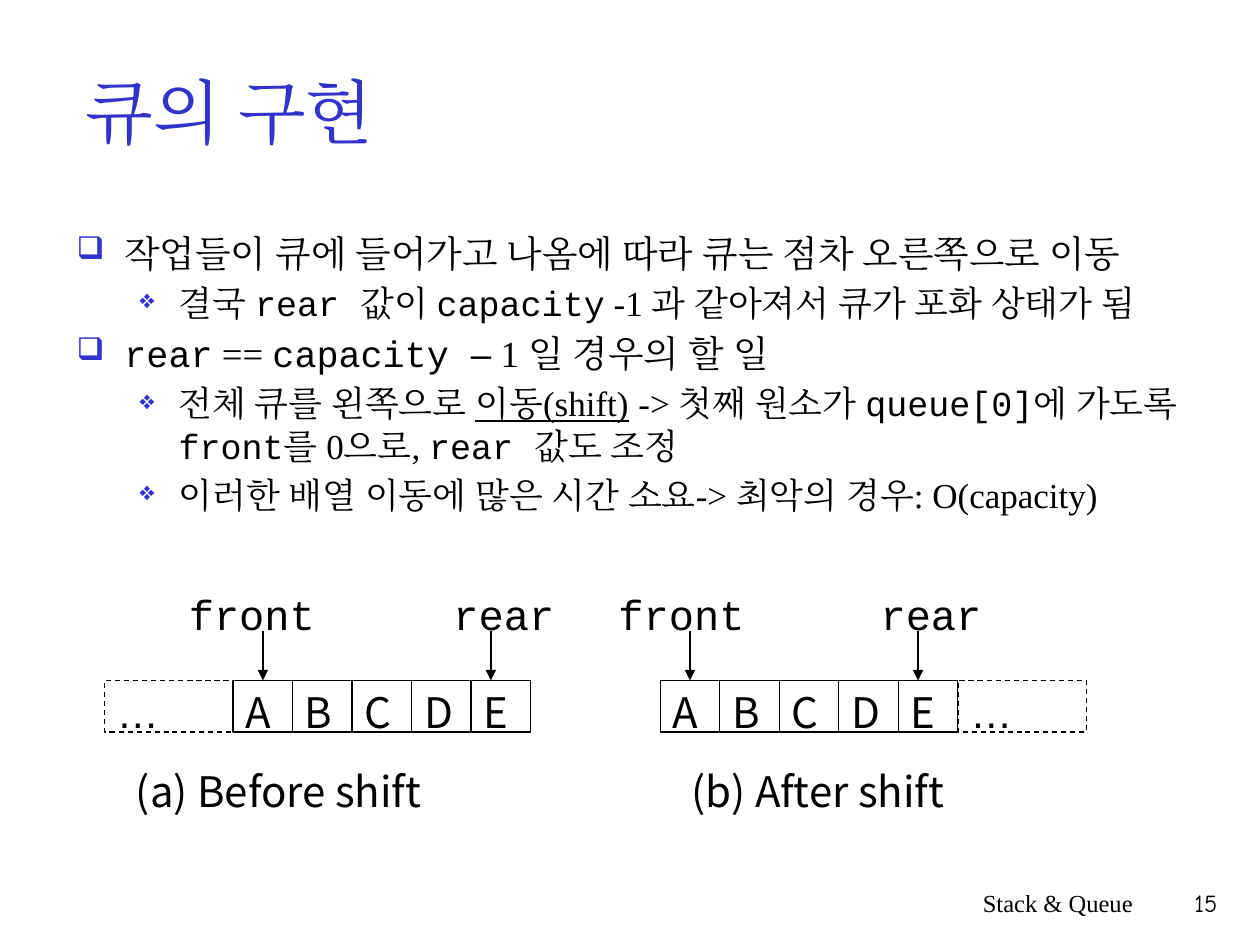
from lxml import etree
from pptx import Presentation
from pptx import util as u
from pptx.dml.color import RGBColor
from pptx.enum import dml, shapes, text
from pptx.oxml import ns

BLACK, BLUE = "000000", "3333CC"
SERIF, MONO, SANS, KOREAN = "Times New Roman", "Courier New", "Arial", "Noto Sans CJK KR"
CELL_W, CELL_H, GAP_W = 1.89 / 4, 0.41, 1.02
LABEL_Y, ARROW_Y, ROW_Y, CAPTION_Y, FOOTER_Y = 4.62, 5.01, 5.4, 6.03, 7
REAR_SHIFT = 1.81
LEVELS = [
    dict(size=21, char="❑", scale=85, margin=0.38, hang=0.38),
    dict(size=20, char="❖", scale=75, margin=0.81, hang=0.31),
]
BULLETS = [
    (0, [("작업들이 큐에 들어가고 나옴에 따라 큐는 점차 오른쪽으로 이동", SERIF)]),
    (1, [("결국 ", SERIF), ("rear ", MONO), ("값이 ", SERIF), ("capacity", MONO),
         (" -1 과 같아져서 큐가 포화 상태가 됨", SERIF)]),
    (0, [("rear", MONO), (" == ", SERIF), ("capacity ", MONO), ("–", SANS),
         (" 1 일 경우의 할 일", SERIF)]),
    (1, [("전체 큐를 왼쪽으로 ", SERIF), ("이동(shift)", SERIF, True), (" ", SANS),
         ("-> 첫째 원소가 ", SERIF), ("queue[0]", MONO), ("에 가도록 ", SERIF),
         ("front", MONO), ("를 0으로, ", SERIF), ("rear ", MONO), ("값도 조정", SERIF)]),
    (1, [("이러한 배열 이동에 많은 시간 소요-> 최악의 경우: O(capacity)", SERIF)]),
]


def rgb(value):
    return RGBColor.from_string(value)


def add_xml(parent, tag, **attrs):
    return etree.SubElement(parent, ns.qn(tag), attrs)


def add_run(p, content, font=SERIF, size=24, color=BLACK, underline=None):
    r = p.add_run()
    r.text = content
    r.font.name, r.font.size, r.font.underline = font, u.Pt(size), underline
    r.font.color.rgb = rgb(color)
    add_xml(r.font._element, "a:ea", typeface=font)


def write(sp, content, align=text.PP_ALIGN.LEFT, anchor=text.MSO_ANCHOR.TOP, **fmt):
    tf = sp.text_frame
    tf.word_wrap, tf.vertical_anchor = True, anchor
    tf.paragraphs[0].alignment = align
    add_run(tf.paragraphs[0], content, **fmt)


def add_text(s, box, content, **fmt):
    sp = s.shapes.add_textbox(*map(u.Inches, box))
    write(sp, content, **fmt)


def add_cell(s, x, w, content, font=KOREAN, dash=None):
    sp = s.shapes.add_shape(shapes.MSO_SHAPE.RECTANGLE,
                            *map(u.Inches, (x, ROW_Y, w, CELL_H)))
    sp.shadow.inherit = False
    sp.fill.background()
    sp.line.color.rgb, sp.line.width = rgb(BLACK), u.Pt(0.75)
    if dash:
        sp.line.dash_style = dash
    write(sp, content, font=font)


def add_pointer(s, x, label, label_x, label_w):
    c = s.shapes.add_connector(shapes.MSO_CONNECTOR.STRAIGHT,
                               *map(u.Inches, (x, ARROW_Y, x, ROW_Y)))
    c.line.color.rgb, c.line.width = rgb(BLACK), u.Pt(0.75)
    add_xml(c.line._get_or_add_ln(), "a:tailEnd", type="triangle")
    add_xml(c._element.spPr, "a:effectLst")
    add_text(s, (label_x, LABEL_Y, label_w, 0.5), label, font=MONO)


def add_queue(s, x, gap_x, front_x, rear_x, caption):
    for i, name in enumerate("ABCDE"):
        add_cell(s, x + i * CELL_W, CELL_W, name)
    add_cell(s, gap_x, GAP_W, "…", font=SANS, dash=dml.MSO_LINE.DASH)
    front = x + CELL_W / 2
    add_pointer(s, front, "front", front_x, 1.39)
    add_pointer(s, front + REAR_SHIFT, "rear", rear_x, 1.08)
    add_text(s, (x - 0.87 if gap_x < x else x + 0.15, CAPTION_Y, 3.46, 0.4),
             caption, font=KOREAN)


def add_bullets(s, box):
    tf = s.shapes.add_textbox(*map(u.Inches, box)).text_frame
    tf.word_wrap = True
    for i, (depth, runs) in enumerate(BULLETS):
        level = LEVELS[depth]
        p = tf.add_paragraph() if i else tf.paragraphs[0]
        p.level = depth
        p.space_before = u.Pt(level["size"] * 0.2 if i else 0)
        pPr = p._p.get_or_add_pPr()
        pPr.set("marL", str(u.Inches(level["margin"])))
        pPr.set("indent", str(-u.Inches(level["hang"])))
        add_xml(add_xml(pPr, "a:buClr"), "a:srgbClr", val=BLUE)
        add_xml(pPr, "a:buSzPct", val=str(level["scale"] * 1000))
        add_xml(pPr, "a:buChar", char=level["char"])
        for content, font, *underline in runs:
            add_run(p, content, font, level["size"], underline=bool(underline))


def main():
    prs = Presentation()
    prs.slide_width, prs.slide_height = u.Inches(10), u.Inches(7.5)
    s = prs.slides.add_slide(prs.slide_layouts[6])
    add_text(s, (0.58, 0.25, 8.5, 1.25), "큐의 구현", size=40, color=BLUE,
             anchor=text.MSO_ANCHOR.MIDDLE)
    add_bullets(s, (0.51, 1.78, 9, 3.23))
    before, after = 1.85, 5.24
    add_queue(s, before, before - GAP_W, 1.4, 3.5, "(a) Before shift")
    add_queue(s, after, after + 5 * CELL_W, 4.81, 6.89, "(b) After shift")
    right = text.PP_ALIGN.RIGHT
    add_text(s, (5.92, FOOTER_Y, 3.17, 0.5), "Stack & Queue", size=14, align=right)
    add_text(s, (9.08, FOOTER_Y, 0.68, 0.5), "15", font="Comic Neue", size=14, align=right)
    prs.save("out.pptx")


if __name__ == "__main__":
    main()
